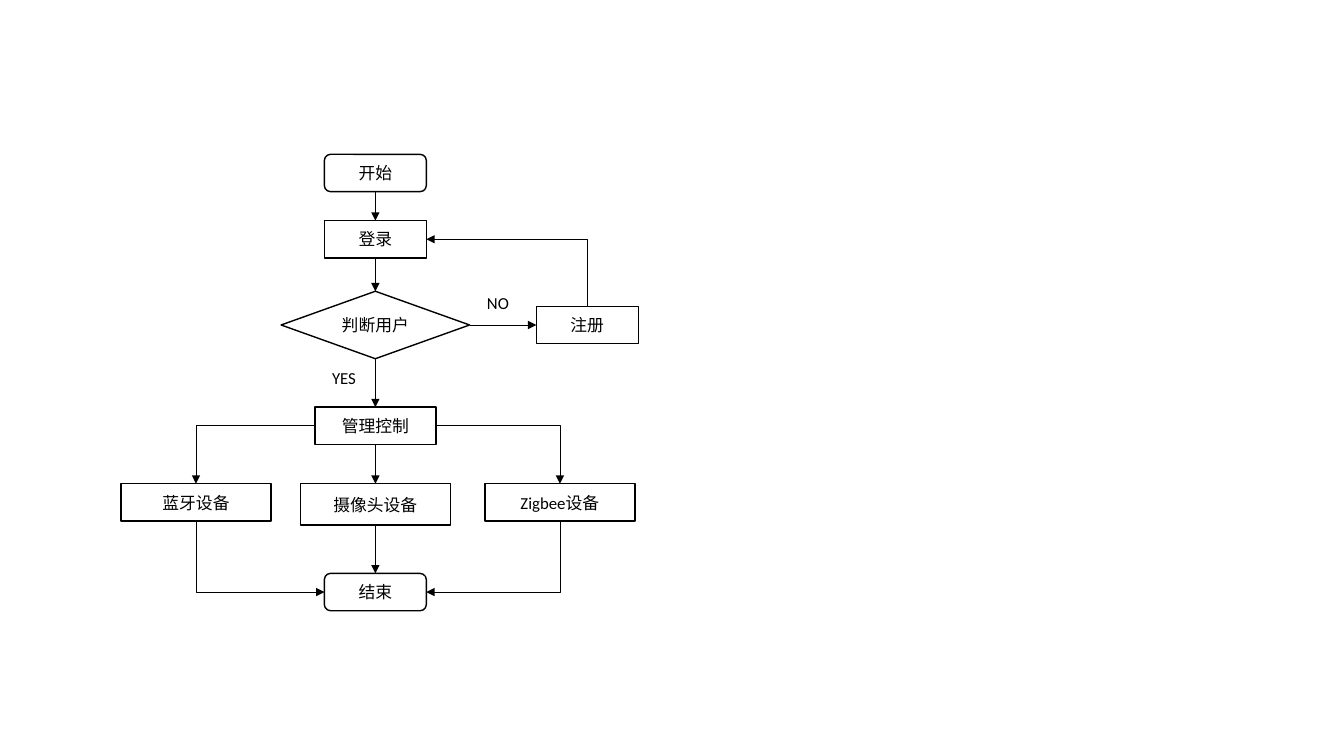
import pptx
import pptx.dml.color
import pptx.enum.shapes
import pptx.enum.text
import pptx.oxml.ns
import pptx.util
from dataclasses import dataclass
from lxml import etree

Cm = pptx.util.Cm
Shape = pptx.enum.shapes.MSO_SHAPE
Connector = pptx.enum.shapes.MSO_CONNECTOR
qn = pptx.oxml.ns.qn
TOP, LEFT, BOTTOM, RIGHT = range(4)


@dataclass(frozen=True)
class Theme:
    font: str = "Calibri"
    text_size: float = 12
    ink: str = "000000"
    paper: str = "FFFFFF"
    outline: float = 1
    arrow_line: float = 0.5

    def color(self, value):
        return pptx.dml.color.RGBColor.from_string(value)


class FlowChart:
    def __init__(self, slide, theme):
        self.slide = slide
        self.theme = theme

    def box(self, kind, text, center, top, width, height, line=None):
        """Box centred on a vertical axis; lengths in centimetres."""
        theme = self.theme
        shape = self.slide.shapes.add_shape(
            kind, Cm(center - width / 2), Cm(top), Cm(width), Cm(height))
        shape.shadow.inherit = False
        shape.fill.solid()
        shape.fill.fore_color.rgb = theme.color(theme.paper)
        shape.line.color.rgb = theme.color(line or theme.ink)
        shape.line.width = pptx.util.Pt(theme.outline)
        frame = shape.text_frame
        frame.text = text
        frame.vertical_anchor = pptx.enum.text.MSO_ANCHOR.MIDDLE
        paragraph = frame.paragraphs[0]
        paragraph.alignment = pptx.enum.text.PP_ALIGN.CENTER
        font = paragraph.runs[0].font
        font.name = theme.font
        font.size = pptx.util.Pt(theme.text_size)
        font.color.rgb = theme.color(theme.ink)
        return shape

    def step(self, text, center, top, width=2.57, height=0.94):
        return self.box(Shape.FLOWCHART_PROCESS, text, center, top, width, height)

    def terminal(self, text, center, top):
        return self.box(Shape.FLOWCHART_ALTERNATE_PROCESS, text, center, top, 2.57, 0.94)

    def label(self, text, center, top, width, height):
        return self.box(Shape.RECTANGLE, text, center, top, width, height, self.theme.paper)

    def style_arrow(self, arrow):
        arrow.line.color.rgb = self.theme.color(self.theme.ink)
        arrow.line.width = pptx.util.Pt(self.theme.arrow_line)
        line = arrow.line._get_or_add_ln()
        etree.SubElement(line, qn("a:tailEnd"), type="triangle")
        etree.SubElement(line.getparent(), qn("a:effectLst"))

    def arrow(self, source, target, start=BOTTOM, end=TOP):
        arrow = self.slide.shapes.add_connector(Connector.STRAIGHT, 0, 0, 0, 0)
        arrow.begin_connect(source, start)
        arrow.end_connect(target, end)
        self.style_arrow(arrow)

    def side(self, shape, side):
        """Middle of one side of a shape."""
        across = {LEFT: 0, RIGHT: shape.width}.get(side, shape.width // 2)
        down = {TOP: 0, BOTTOM: shape.height}.get(side, shape.height // 2)
        return shape.left + across, shape.top + down

    def corner_arrow(self, source, start, target, end):
        """Arrow with a single right-angled turn."""
        x1, y1 = self.side(source, start)
        x2, y2 = self.side(target, end)
        width, height = abs(x2 - x1), abs(y2 - y1)
        vertical_first = start in (TOP, BOTTOM)
        if vertical_first:
            width, height = height, width
            flip_h, flip_v = y2 > y1, x2 < x1
        else:
            flip_h, flip_v = x2 < x1, y2 < y1
        left, top = (x1 + x2 - width) // 2, (y1 + y2 - height) // 2
        arrow = self.slide.shapes.add_connector(
            Connector.ELBOW, left, top, left + width, top + height)
        properties = arrow.line._get_or_add_ln().getparent()
        properties.find(qn("a:prstGeom")).set("prst", "bentConnector2")
        frame = properties.find(qn("a:xfrm"))
        if vertical_first:
            frame.set("rot", str(270 * 60000))
        for name, flipped in (("flipH", flip_h), ("flipV", flip_v)):
            if flipped:
                frame.set(name, "1")
        self.style_arrow(arrow)


def main():
    deck = pptx.Presentation()
    deck.slide_width, deck.slide_height = Cm(33.87), Cm(19.05)
    chart = FlowChart(deck.slides.add_slide(deck.slide_layouts[6]), Theme())
    axis = 9.46
    device_top, device_width = 12.19, 3.78

    # Main column
    start = chart.terminal("开始", axis, 3.89)
    login = chart.step("登录", axis, 5.56)
    check_user = chart.box(Shape.FLOWCHART_DECISION, "判断用户", axis, 7.34, 4.75, 1.7)
    control = chart.step("管理控制", axis, 10.26, 3.05)
    camera = chart.step("摄像头设备", axis, device_top, device_width, 1.04)
    finish = chart.terminal("结束", axis, 14.45)

    # Side branches
    register = chart.step("注册", 14.8, 7.72)
    bluetooth = chart.step("蓝牙设备", 4.94, device_top, device_width)
    zigbee = chart.step("Zigbee设备", 14.11, device_top, device_width)

    # Answers of the decision
    chart.label("YES", 8.67, 9.22, 1.55, 0.61)
    chart.label("NO", 12.55, 7.29, 1.68, 0.66)

    # Straight arrows
    column = [start, login, check_user, control, camera, finish]
    for source, target in zip(column, column[1:]):
        chart.arrow(source, target)
    chart.arrow(check_user, register, RIGHT, LEFT)

    # Arrows with a turn
    chart.corner_arrow(register, TOP, login, RIGHT)
    for device, side in ((bluetooth, LEFT), (zigbee, RIGHT)):
        chart.corner_arrow(control, side, device, TOP)
        chart.corner_arrow(device, BOTTOM, finish, side)

    deck.save("out.pptx")


if __name__ == "__main__":
    main()
